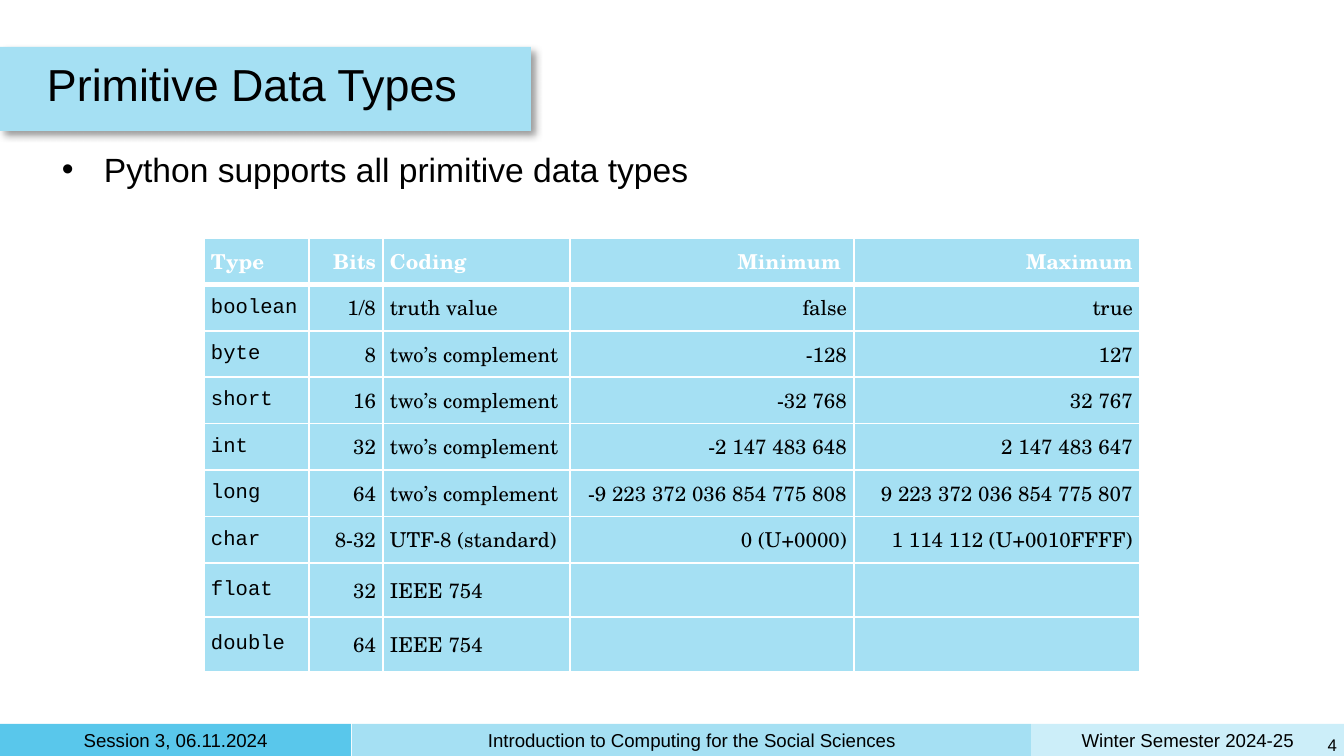
"""Build the slide on primitive data types with its table and footer."""
from lxml.etree import SubElement
from pptx import Presentation
from pptx.dml.color import RGBColor as Rgb
from pptx.enum.shapes import MSO_SHAPE as Shape
from pptx.enum.text import MSO_ANCHOR as Anchor, PP_ALIGN as Align
from pptx.oxml.ns import qn
from pptx.util import Pt

PX = 9144000 / 1344
COLORS = {"black": "000000", "white": "FFFFFF", "band": "A5E0F3",
          "session": "59C7EB", "semester": "CCEEF9"}
INSET = 7
MARGINS = {f"margin_{side}": int(INSET * PX) for side in ("left", "right", "top", "bottom")}

deck = Presentation()
deck.slide_width, deck.slide_height = int(1344 * PX), int(756 * PX)
slide = deck.slides.add_slide(deck.slide_layouts[6])


def add_band(box, color):
    band = slide.shapes.add_shape(Shape.RECTANGLE, *(int(v * PX) for v in box))
    band.shadow.inherit = False
    band.fill.solid()
    band.fill.fore_color.rgb = Rgb.from_string(COLORS[color])
    band.line.fill.background()
    return band


def write(frame, words, size, align=Align.LEFT, font="Arial", color="black", bold=False):
    paragraph = frame.paragraphs[0]
    paragraph.alignment = align
    run = paragraph.add_run()
    run.text = words
    for key, value in {"size": Pt(size), "name": font, "bold": bold}.items():
        setattr(run.font, key, value)
    run.font.color.rgb = Rgb.from_string(COLORS[color])
    return paragraph


footer = [(1031, 313, "semester", "Winter Semester 2024-25"),
          (0, 351, "session", "Session 3, 06.11.2024"),
          (352, 679, "band", "Introduction to Computing for the Social Sciences")]
for left, width, color, words in footer:
    add_band((left, 724, width, 32), color)

title_band = add_band((0, 47, 531, 84), "band")
shadow = SubElement(title_band._element.spPr.find(qn("a:effectLst")), qn("a:outerShdw"),
                    blurRad=str(Pt(4)), dist=str(Pt(3)), dir="2700000",
                    algn="tl", rotWithShape="0")
shade = SubElement(shadow, qn("a:srgbClr"), val=COLORS["black"])
SubElement(shade, qn("a:alpha"), val="40000")

texts = [((left + INSET, 727, width - 2 * INSET, 26), words, 10, Align.CENTER, Anchor.MIDDLE)
         for left, width, color, words in footer]
texts += [
    ((55, 142, 1235, 54), "Python supports all primitive data types", 18, Align.LEFT, Anchor.TOP),
    ((40, 47, 1169, 84), "Primitive Data Types", 24, Align.LEFT, Anchor.MIDDLE),
    ((1312, 728, 32, 34), "4", 9, Align.RIGHT, Anchor.MIDDLE),
]
written = {}
for box, words, size, align, anchor in texts:
    frame = slide.shapes.add_textbox(*(int(v * PX) for v in box)).text_frame
    for key, value in {**MARGINS, "word_wrap": True, "vertical_anchor": anchor}.items():
        setattr(frame, key, value)
    written[words] = write(frame, words, size, align)

written["Primitive Data Types"].line_spacing = 0.8
bullet = written["Python supports all primitive data types"]._p.get_or_add_pPr()
bullet.set("marL", str(int(42 * PX)))
bullet.set("indent", str(int(-44 * PX)))
SubElement(SubElement(bullet, qn("a:buClr")), qn("a:srgbClr"), val=COLORS["black"])
SubElement(bullet, qn("a:buFont"), typeface="Arial")
SubElement(bullet, qn("a:buChar"), char="•")

data_types = [
    ("Type", "Bits", "Coding", "Minimum ", "Maximum"),
    ("boolean", "1/8", "truth value", "false", "true"),
    ("byte", "8", "two’s complement", "-128", "127"),
    ("short", "16", "two’s complement", "-32 768", "32 767"),
    ("int", "32", "two’s complement", "-2 147 483 648", "2 147 483 647"),
    ("long", "64", "two’s complement", "-9 223 372 036 854 775 808", "9 223 372 036 854 775 807"),
    ("char", "8-32", "UTF-8 (standard)", "0 (U+0000)", "1 114 112 (U+0010FFFF)"),
    ("float", "32", "IEEE 754", "", ""),
    ("double", "64", "IEEE 754", "", ""),
]
column_widths = [105, 74, 187, 284, 286]
column_aligns = [Align.LEFT, Align.RIGHT, Align.LEFT, Align.RIGHT, Align.RIGHT]
row_heights = [325 / 7] * 7 + [53] * 2

table = slide.shapes.add_table(
    len(data_types), len(column_widths), int(204 * PX), int(238 * PX),
    int(sum(column_widths) * PX), int(sum(row_heights) * PX)).table
table.horz_banding = False
for column, width in zip(table.columns, column_widths):
    column.width = int(width * PX)
for row, height in zip(table.rows, row_heights):
    row.height = int(height * PX)

for r, values in enumerate(data_types):
    header = r == 0
    for c, value in enumerate(values):
        cell = table.cell(r, c)
        for key, setting in {**MARGINS, "vertical_anchor": Anchor.MIDDLE}.items():
            setattr(cell, key, setting)
        for side in "LRTB":
            thick = (r, side) in [(0, "B"), (1, "T")]
            border = SubElement(cell._tc.get_or_add_tcPr(), qn(f"a:ln{side}"),
                                w=str(Pt(3 if thick else 1)))
            SubElement(SubElement(border, qn("a:solidFill")), qn("a:srgbClr"),
                       val=COLORS["white"])
        cell.fill.solid()
        cell.fill.fore_color.rgb = Rgb.from_string(COLORS["band"])
        if value:
            font = "Courier New" if c == 0 and not header else "TeX Gyre Schola"
            write(cell.text_frame, value, 11, column_aligns[c], font,
                  "white" if header else "black", header)

deck.save("out.pptx")
